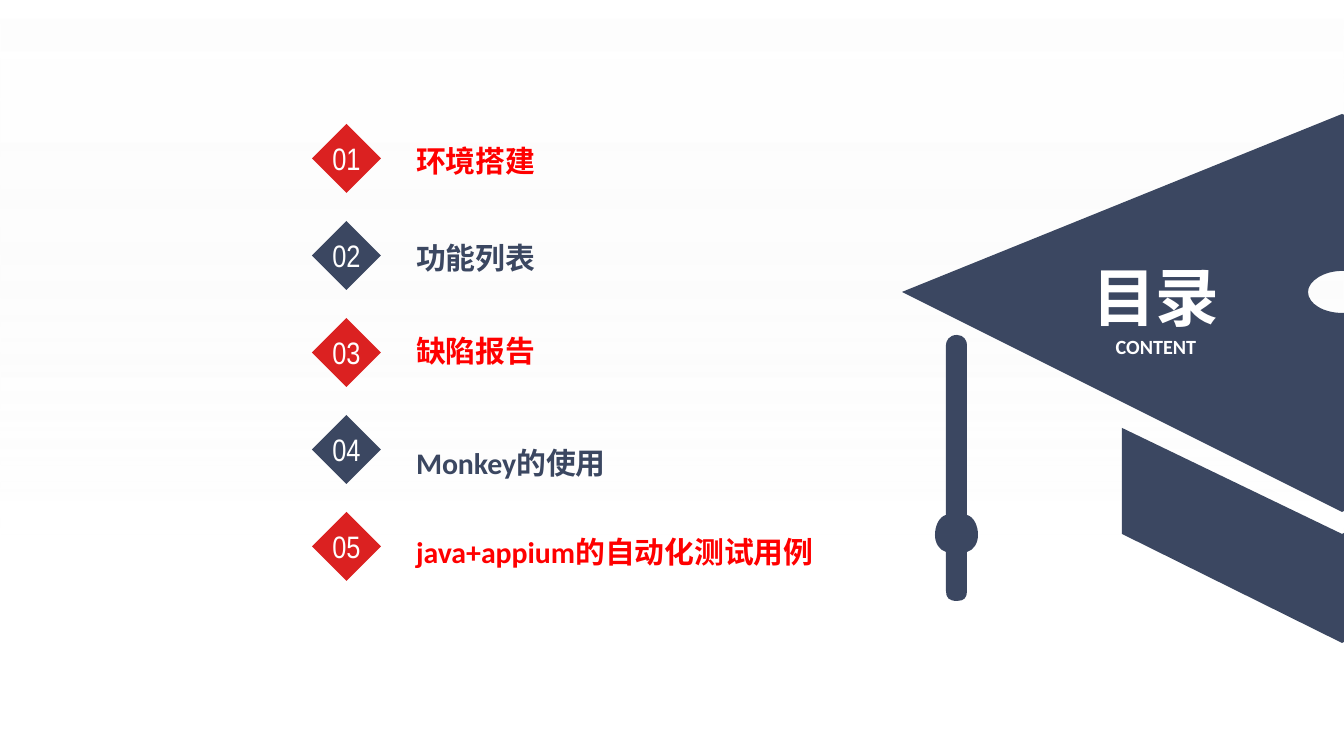
from dataclasses import dataclass

from lxml import etree
from pptx import Presentation
from pptx.dml.color import RGBColor
from pptx.enum.shapes import MSO_SHAPE
from pptx.enum.text import MSO_ANCHOR, MSO_AUTO_SIZE, PP_ALIGN
from pptx.oxml.ns import qn
from pptx.util import Emu, Pt

RECTANGLE = MSO_SHAPE.RECTANGLE
DIAMOND = MSO_SHAPE.DIAMOND
TOP, MIDDLE, BOTTOM = MSO_ANCHOR.TOP, MSO_ANCHOR.MIDDLE, MSO_ANCHOR.BOTTOM
LEFT, CENTER = PP_ALIGN.LEFT, PP_ALIGN.CENTER
NO_AUTOFIT = MSO_AUTO_SIZE.NONE

EMU_PER_PX = 914400 / 134.4
SLIDE_WIDTH, SLIDE_HEIGHT = 1344, 756
TITLE_ONLY_LAYOUT = 5

DIAMOND_LEFT, DIAMOND_TOP, DIAMOND_SIZE, ROW_PITCH = 312, 124, 69, 97
LABEL_LEFT, LABEL_WIDTH, LABEL_INDENT = 364, 437, 52
HEADING_LEFT, HEADING_WIDTH = 1078, 156

Point = tuple[int, int]
Segment = tuple[Point, ...]


@dataclass(frozen=True)
class Theme:
    navy: RGBColor = RGBColor(0x3B, 0x47, 0x61)
    crimson: RGBColor = RGBColor(0xDB, 0x21, 0x21)
    red: RGBColor = RGBColor(0xFF, 0x00, 0x00)
    white: RGBColor = RGBColor(0xFF, 0xFF, 0xFF)
    gray: RGBColor = RGBColor(0xF2, 0xF2, 0xF2)
    text_font: str = "Calibri"
    number_font: str = "Arial Narrow"
    title_size: float = 34.1
    subtitle_size: float = 10.8
    label_size: float = 16
    number_size: float = 16.6


@dataclass(frozen=True)
class TextStyle:
    size: float
    color: RGBColor
    font: str
    bold: bool
    alignment: PP_ALIGN
    anchor: MSO_ANCHOR


@dataclass(frozen=True)
class ContentItem:
    label: str
    label_top: int
    label_height: int


@dataclass(frozen=True)
class Contour:
    start: Point
    segments: list[Segment]


THEME = Theme()

ITEMS = [
    ContentItem("环境搭建", 128, 51),
    ContentItem("功能列表", 221, 54),
    ContentItem("缺陷报告", 322, 47),
    ContentItem("Monkey的使用", 419, 62),
    ContentItem("java+appium的自动化测试用例", 515, 55),
]

BAND = Contour((1122, 428), [
    ((1342, 534),), ((1562, 428),), ((1562, 534),), ((1342, 643),), ((1122, 534),),
])
CORD = Contour((957, 335), [
    ((964, 335), (967, 341), (967, 345)),
    ((967, 515),),
    ((974, 517), (978, 526), (978, 535)),
    ((978, 543), (974, 550), (967, 552)),
    ((967, 591),),
    ((967, 598), (964, 601), (957, 601)),
    ((949, 601), (946, 598), (946, 591)),
    ((946, 552),),
    ((939, 550), (935, 543), (935, 535)),
    ((935, 526), (939, 517), (946, 515)),
    ((946, 345),),
    ((946, 341), (949, 335), (957, 335)),
])
BUTTON = Contour((1342, 271), [
    ((1324, 271), (1308, 281), (1308, 292)),
    ((1308, 304), (1324, 313), (1342, 313)),
    ((1361, 313), (1376, 304), (1376, 292)),
    ((1376, 281), (1361, 271), (1342, 271)),
])
BOARD = Contour((1342, 114), [((1786, 292),), ((1342, 512),), ((902, 292),)])
CAP = [BAND, CORD, BUTTON, BOARD]


def px(length: int) -> Emu:
    return Emu(round(length * EMU_PER_PX))


def write_text(shape, text: str, style: TextStyle) -> None:
    frame = shape.text_frame
    frame.text = text
    frame.auto_size = NO_AUTOFIT
    frame.word_wrap = False
    frame.vertical_anchor = style.anchor
    paragraph = frame.paragraphs[0]
    paragraph.alignment = style.alignment
    paragraph.font.name = style.font
    paragraph.font.size = Pt(style.size)
    paragraph.font.bold = style.bold
    paragraph.font.color.rgb = style.color


def set_insets(shape, left: int = 0) -> None:
    frame = shape.text_frame
    frame.margin_left = px(left)
    frame.margin_top = frame.margin_right = frame.margin_bottom = 0


def fill_plain(shape, color: RGBColor) -> None:
    shape.shadow.inherit = False
    shape.fill.solid()
    shape.fill.fore_color.rgb = color
    shape.line.fill.background()


def move_backdrop_to_master(slide, master) -> None:
    backdrop = slide.shapes.add_shape(RECTANGLE, 0, 0, px(SLIDE_WIDTH), px(SLIDE_HEIGHT))
    backdrop.shadow.inherit = False
    backdrop.line.fill.background()
    backdrop.fill.gradient()
    backdrop.fill.gradient_angle = 270
    stops = [(0, THEME.white, 55), (0.71, THEME.gray, 0)]
    for stop, (position, color, _) in zip(backdrop.fill.gradient_stops, stops):
        stop.position = position
        stop.color.rgb = color
    colors = backdrop.element.spPr.iter(qn("a:srgbClr"))
    for color_element, (_, _, opacity) in zip(colors, stops):
        etree.SubElement(color_element, qn("a:alpha"), val=str(opacity * 1000))
    master.shapes.element.insert(2, backdrop.element)


def bend_curves(shape, segments: list[Segment]) -> None:
    lines = iter(list(shape.element.iter(qn("a:lnTo"))))
    for segment in segments:
        segment_lines = [next(lines) for _ in segment]
        if len(segment) == 3:
            curve = etree.Element(qn("a:cubicBezTo"))
            segment_lines[0].addprevious(curve)
            for line in segment_lines:
                curve.append(line[0])
                line.getparent().remove(line)


def draw_graduation_cap(slide) -> None:
    first = CAP[0].start
    builder = slide.shapes.build_freeform(px(first[0]), px(first[1]), scale=1.0)
    for contour in CAP:
        if contour is not CAP[0]:
            builder.move_to(px(contour.start[0]), px(contour.start[1]))
        points = [(px(x), px(y)) for segment in contour.segments for x, y in segment]
        builder.add_line_segments(points, close=False)
        builder.add_line_segments([], close=True)
    cap = builder.convert_to_shape()
    bend_curves(cap, [segment for contour in CAP for segment in contour.segments])
    fill_plain(cap, THEME.navy)


def draw_item(slide, index: int, item: ContentItem) -> None:
    highlighted = index % 2 == 0
    row = slide.shapes.add_group_shape()
    marker = row.shapes.add_shape(
        DIAMOND, px(DIAMOND_LEFT), px(DIAMOND_TOP + index * ROW_PITCH),
        px(DIAMOND_SIZE), px(DIAMOND_SIZE),
    )
    fill_plain(marker, THEME.crimson if highlighted else THEME.navy)
    set_insets(marker)
    number_style = TextStyle(
        THEME.number_size, THEME.white, THEME.number_font, False, CENTER, MIDDLE
    )
    write_text(marker, f"{index + 1:02d}", number_style)

    label = row.shapes.add_textbox(
        px(LABEL_LEFT), px(item.label_top), px(LABEL_WIDTH), px(item.label_height)
    )
    set_insets(label, LABEL_INDENT)
    label_color = THEME.red if highlighted else THEME.navy
    label_style = TextStyle(THEME.label_size, label_color, THEME.text_font, True, LEFT, BOTTOM)
    write_text(label, item.label, label_style)


def draw_heading(slide) -> None:
    title = slide.shapes.title
    title.left, title.top = px(HEADING_LEFT), px(251)
    title.width, title.height = px(HEADING_WIDTH), px(85)
    title.element.getparent().append(title.element)
    subtitle = slide.shapes.add_textbox(px(HEADING_LEFT), px(328), px(HEADING_WIDTH), px(34))
    for shape, text, size in (
        (title, "目录", THEME.title_size),
        (subtitle, "CONTENT", THEME.subtitle_size),
    ):
        style = TextStyle(size, THEME.white, THEME.text_font, True, CENTER, TOP)
        write_text(shape, text, style)


def main() -> None:
    presentation = Presentation()
    presentation.slide_width = px(SLIDE_WIDTH)
    presentation.slide_height = px(SLIDE_HEIGHT)
    slide = presentation.slides.add_slide(presentation.slide_layouts[TITLE_ONLY_LAYOUT])
    move_backdrop_to_master(slide, presentation.slide_master)
    draw_graduation_cap(slide)
    for index, item in enumerate(ITEMS):
        draw_item(slide, index, item)
    draw_heading(slide)
    presentation.save("out.pptx")


if __name__ == "__main__":
    main()
